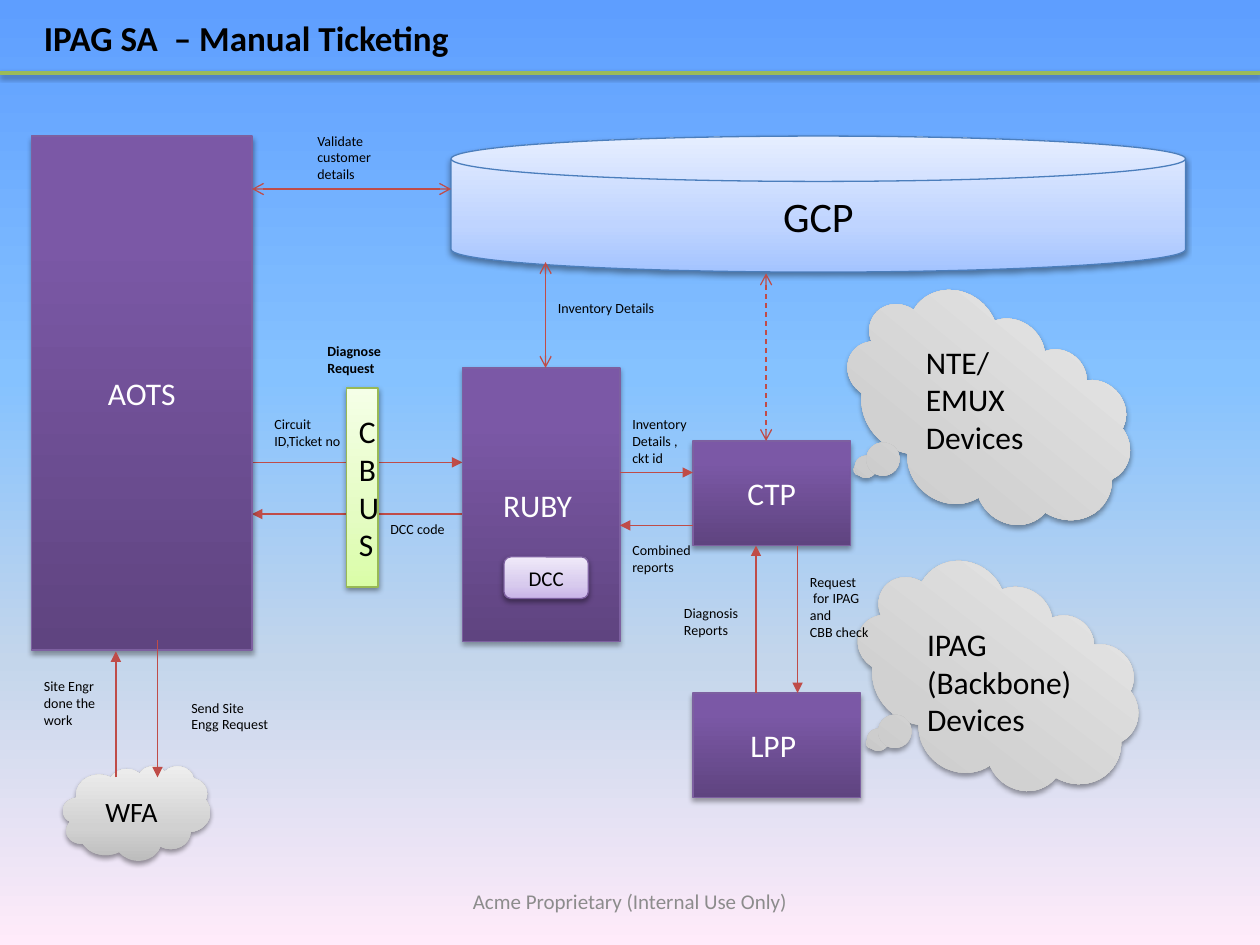
from dataclasses import dataclass
from typing import Any, NamedTuple

from lxml import etree
from pptx import Presentation
from pptx import util as u
from pptx.dml.color import RGBColor
from pptx.enum import dml, shapes, text
from pptx.oxml.ns import qn

Stops = tuple[tuple[int, str], ...]
Rect = tuple[float, float, float, float]
Kind = shapes.MSO_SHAPE


@dataclass(frozen=True)
class Theme:
    font: str = "Calibri"
    black: str = "000000"
    white: str = "FFFFFF"
    gray: str = "8C8C8C"
    red: str = "BF4C48"
    green: str = "9BBB59"
    plum: str = "7D60A0"
    blue: str = "4B7EBC"
    lime: str = "98B955"
    sky: Stops = ((0, "5E9EFF"), (40, "85C2FF"), (70, "C4D6EB"), (100, "FFEBFA"))
    dark: Stops = ((0, "5F4480"), (80, "7B58A6"), (100, "7C57A8"))
    disk: Stops = ((0, "A4C4FF"), (35, "BFD4FF"), (100, "E6EEFF"))
    bus: Stops = ((0, "DAFDA7"), (35, "E4FCC2"), (100, "F5FFE7"))
    pale: Stops = ((0, "C9B5E8"), (35, "D8CBEE"), (100, "F0EAF9"))
    mist: Stops = ((0, "BDBDBD"), (35, "D1D1D1"), (100, "EEEEEE"))
    note: float = 8
    small: float = 12
    cloud: float = 16
    body: float = 18
    title: float = 20
    big: float = 24
    thin: float = 0.75
    rule: float = 2


T = Theme()


class Block(NamedTuple):
    kind: Any
    at: Rect
    fill: Stops
    edge: str = ""
    words: str = ""
    size: float = T.body
    color: str = T.black
    turn: float = 0


class Note(NamedTuple):
    words: str
    at: Rect
    size: float = T.note
    color: str = T.black
    bold: bool = False
    mid: bool = False


class Arrow(NamedTuple):
    start: tuple[float, float]
    end: tuple[float, float]
    both: bool = False
    dash: bool = False


BACK = [
    Arrow((3.75, 4.08), (2, 4.08)),
    Arrow((2, 3.67), (3.67, 3.67)),
]
BLOCKS = [
    Block(Kind.RECTANGLE, (0.25, 1.08, 1.75, 4.08), T.dark, T.plum, "AOTS", color=T.white),
    Block(Kind.RECTANGLE, (3.67, 2.92, 1.25, 2.17), T.dark, T.plum, "RUBY ", color=T.white),
    Block(Kind.RECTANGLE, (5.5, 3.5, 1.25, 0.83), T.dark, T.plum, "CTP", color=T.white),
    Block(Kind.RECTANGLE, (5.5, 5.5, 1.33, 0.83), T.dark, T.plum, "LPP ", color=T.white),
    Block(Kind.FLOWCHART_MAGNETIC_DISK, (3.58, 1.08, 5.83, 1.08), T.disk, T.blue, "GCP", T.big),
    Block(Kind.RECTANGLE, (2.75, 3.08, 0.25, 1.58), T.bus, T.lime, "C\nB\nU\nS"),
    Block(Kind.CLOUD_CALLOUT, (6.65, 2.48, 2.36, 1.59), T.mist, turn=39.5),
    Block(Kind.CLOUD_CALLOUT, (6.75, 4.61, 2.31, 1.59), T.mist, turn=37.7),
    Block(Kind.CLOUD, (0.5, 6.08, 1.17, 0.75), T.mist, words="WFA", size=T.cloud),
    Block(Kind.ROUNDED_RECTANGLE, (4, 4.42, 0.67, 0.33), T.pale, T.plum, "DCC", T.small),
]
FRONT = [
    Arrow((2, 1.5), (3.58, 1.5), both=True),
    Arrow((4.33, 2.08), (4.33, 2.92), both=True),
    Arrow((6.08, 2.17), (6.08, 3.5), both=True, dash=True),
    Arrow((6.33, 4.33), (6.33, 5.5)),
    Arrow((6, 5.5), (6, 4.33)),
    Arrow((5.5, 4.17), (4.92, 4.17)),
    Arrow((4.92, 3.75), (5.5, 3.75)),
    Arrow((1.25, 5.08), (1.25, 6.17)),
    Arrow((0.92, 6.17), (0.92, 5.17)),
]
NOTES = [
    Note("Acme Proprietary (Internal Use Only)", (0.5, 6.95, 9, 0.4), T.small, T.gray, mid=True),
    Note("IPAG SA  – Manual Ticketing", (0.25, 0.08, 7.42, 0.44), T.title, bold=True),
    Note("NTE/ EMUX Devices", (7.25, 2.67, 1.33, 1.31), T.body),
    Note("IPAG (Backbone) Devices", (7.26, 4.91, 1.5, 1.31), T.body),
    Note("Validate customer details", (2.42, 1, 0.83, 0.5)),
    Note("Circuit ID,Ticket no", (2.08, 3.25, 0.83, 0.37)),
    Note("Diagnose\nRequest", (2.5, 2.67, 0.83, 0.37), bold=True),
    Note("Inventory Details", (4.33, 2.33, 1, 0.24)),
    Note("Inventory\nDetails ,\nckt id", (4.92, 3.25, 1, 0.5)),
    Note("Request\n for IPAG\nand\nCBB check", (6.33, 4.5, 1, 0.64)),
    Note("Diagnosis\nReports", (5.33, 4.75, 1, 0.37)),
    Note("Combined reports", (4.92, 4.25, 0.7, 0.37)),
    Note("DCC code", (3, 4.08, 1, 0.24)),
    Note("Send Site Engg Request", (1.42, 5.5, 0.83, 0.37)),
    Note("Site Engr done the work", (0.25, 5.33, 0.67, 0.5)),
]


def cm(inch: float) -> int:
    return u.Cm(inch * 2.54)


def rgb(code: str) -> RGBColor:
    return RGBColor.from_string(code)


def put(item: Any, vals: dict[str, Any]) -> None:
    for key, val in vals.items():
        setattr(item, key, val)


def add(root: Any, tag: str, **vals: Any) -> Any:
    return etree.SubElement(root, qn(tag), {k: str(v) for k, v in vals.items()})


def blend(fill: Any, root: Any, stops: Stops, angle: float) -> None:
    fill.gradient()
    fill.gradient_angle = angle
    bag = next(root.iter(qn("a:gsLst")))
    for old in list(bag):
        bag.remove(old)
    for pos, code in stops:
        add(add(bag, "a:gs", pos=pos * 1000), "a:srgbClr", val=code)


def shade(bag: Any, dist: float, alpha: int) -> None:
    cast = add(bag, "a:outerShdw", blurRad=u.Pt(3.1), dist=u.Pt(dist),
               dir=5400000, rotWithShape=0)
    add(add(cast, "a:srgbClr", val=T.black), "a:alpha", val=alpha * 1000)


def write(frame: Any, words: str, size: float, color: str, bold: bool, mid: bool) -> None:
    put(frame, {"word_wrap": True, "text": words,
                "vertical_anchor": text.MSO_ANCHOR.MIDDLE if mid else text.MSO_ANCHOR.TOP})
    for para in frame.paragraphs:
        para.alignment = text.PP_ALIGN.CENTER if mid else text.PP_ALIGN.LEFT
        put(para.font, {"name": T.font, "size": u.Pt(size), "bold": bold})
        para.font.color.rgb = rgb(color)


def block(slide: Any, b: Block) -> None:
    shape = slide.shapes.add_shape(b.kind, *map(cm, b.at))
    put(shape, {"rotation": b.turn})
    blend(shape.fill, shape.element, b.fill, 90)
    if b.edge:
        shape.line.color.rgb = rgb(b.edge)
        shape.line.width = u.Pt(T.thin)
    else:
        shape.line.fill.background()
    shape.shadow.inherit = False
    deep = b.fill == T.dark
    shade(next(shape.element.iter(qn("a:effectLst"))), 1.8 if deep else 1.6, 35 if deep else 38)
    if b.words:
        write(shape.text_frame, b.words, b.size, b.color, False, True)


def note(slide: Any, n: Note) -> None:
    box = slide.shapes.add_textbox(*map(cm, n.at))
    write(box.text_frame, n.words, n.size, n.color, n.bold, n.mid)


def line(slide: Any, a: Arrow, color: str, width: float) -> Any:
    wire = slide.shapes.add_connector(shapes.MSO_CONNECTOR.STRAIGHT, *map(cm, a.start + a.end))
    wire.line.color.rgb = rgb(color)
    wire.line.width = u.Pt(width)
    if a.dash:
        wire.line.dash_style = dml.MSO_LINE.DASH
    return wire, add(wire.element.spPr, "a:effectLst")


def arrow(slide: Any, a: Arrow) -> None:
    wire, _ = line(slide, a, T.red, T.thin)
    pen = wire.line._get_or_add_ln()
    if a.both:
        add(pen, "a:headEnd", type="arrow")
    add(pen, "a:tailEnd", type="arrow" if a.both else "triangle")


def main() -> None:
    deck = Presentation()
    put(deck, {"slide_width": cm(10), "slide_height": cm(7.5)})
    slide = deck.slides.add_slide(deck.slide_layouts[6])
    blend(slide.background.fill, slide.element, T.sky, 270)
    _, bag = line(slide, Arrow((0, 0.58), (10, 0.58)), T.green, T.rule)
    shade(bag, 1.6, 38)
    for draw, items in ((arrow, BACK), (block, BLOCKS), (arrow, FRONT), (note, NOTES)):
        for item in items:
            draw(slide, item)
    deck.save("out.pptx")


if __name__ == "__main__":
    main()
